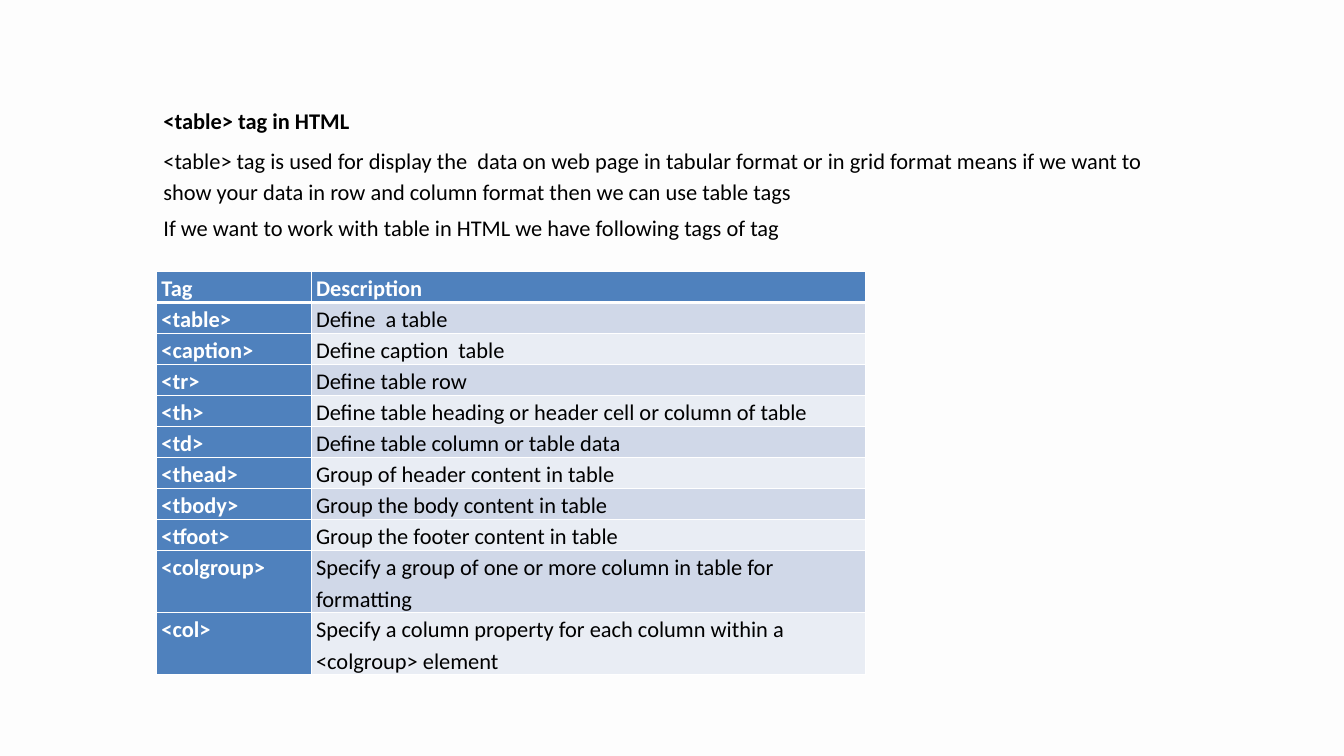
from dataclasses import dataclass

from lxml.etree import SubElement
from pptx import Presentation
from pptx.dml.color import RGBColor
from pptx.enum.text import MSO_AUTO_SIZE
from pptx.oxml.ns import qn
from pptx.util import Pt


@dataclass(frozen=True)
class Theme:
    font: str = "Calibri"
    size: float = 24
    leading: float = 1.15
    after: float = 10
    page: str = "FDFDFD"
    ink: str = "000000"
    light: str = "FFFFFF"
    head: str = "4F81BD"
    bands: tuple = ("D0D8E8", "E9EDF4")


THEME = Theme()

TITLE = "<table> tag in HTML"
ABOUT = (
    "<table> tag is used for display the  data on web page in tabular format "
    "or in grid format means if we want to show your data in row and column "
    "format then we can use table tags"
)
LEAD = "If we want to work with table in HTML we have following tags of tag"

TAGS = [
    ("Tag", "Description"),
    ("<table>", "Define  a table"),
    ("<caption>", "Define caption  table"),
    ("<tr>", "Define table row"),
    ("<th>", "Define table heading or header cell or column of table"),
    ("<td>", "Define table column or table data"),
    ("<thead>", "Group of header content in table"),
    ("<tbody>", "Group the body content in table"),
    ("<tfoot>", "Group the footer content in table"),
    ("<colgroup>", "Specify a group of one or more column in table for formatting"),
    ("<col>", "Specify a column property for each column within a <colgroup> element"),
]


def write(para, text, color, bold=False, spaced=True):
    if spaced:
        para.line_spacing = THEME.leading
        para.space_after = Pt(THEME.after)
    run = para.add_run()
    run.text = text
    font = run.font
    font.name = THEME.font
    font.size = Pt(THEME.size)
    font.bold = bold
    font.color.rgb = RGBColor.from_string(color)


def edge(cell, side, width):
    """Draw one border; side is L, R, T or B."""
    props = cell._tc.get_or_add_tcPr()
    line = SubElement(props, qn(f"a:ln{side}"), w=str(Pt(width)))
    fill = SubElement(line, qn("a:solidFill"))
    SubElement(fill, qn("a:srgbClr"), val=THEME.light)


def add_intro(slide, left, top, width, height):
    box = slide.shapes.add_textbox(Pt(left), Pt(top), Pt(width), Pt(height))
    frame = box.text_frame
    frame.word_wrap = True
    frame.auto_size = MSO_AUTO_SIZE.SHAPE_TO_FIT_TEXT
    write(frame.paragraphs[0], TITLE, THEME.ink, bold=True)
    write(frame.add_paragraph(), ABOUT, THEME.ink)
    write(frame.add_paragraph(), LEAD, THEME.ink, spaced=False)


def fill_cell(cell, text, row, col):
    """Style a cell: the first row and first column are headers."""
    header = row == 0 or col == 0
    cell.margin_left = cell.margin_right = Pt(5)
    cell.margin_top = cell.margin_bottom = 0
    for side in "LRTB":
        thick = (row == 0 and side == "B") or (row == 1 and side == "T")
        edge(cell, side, 3 if thick else 1)
    cell.fill.solid()
    shade = THEME.head if header else THEME.bands[(row - 1) % 2]
    cell.fill.fore_color.rgb = RGBColor.from_string(shade)
    color = THEME.light if header else THEME.ink
    write(cell.text_frame.paragraphs[0], text, color, bold=header)


def add_tags(slide, left, top, width, first=165.6, height=33.2):
    """Place the tag table; first is the tag column's width, height a row's."""
    count = len(TAGS)
    table = slide.shapes.add_table(
        count, 2, Pt(left), Pt(top), Pt(width), Pt(count * height)
    ).table
    for column, size in zip(table.columns, (first, width - first)):
        column.width = Pt(size)
    for r, texts in enumerate(TAGS):
        table.rows[r].height = Pt(height)
        for c, text in enumerate(texts):
            fill_cell(table.cell(r, c), text, r, c)


def main():
    deck = Presentation()
    deck.slide_width, deck.slide_height = Pt(1440), Pt(810)
    slide = deck.slides.add_slide(deck.slide_layouts[6])
    page = slide.background.fill
    page.solid()
    page.fore_color.rgb = RGBColor.from_string(THEME.page)
    left = 168
    add_intro(slide, left, 106.5, 1093.5, 157)
    add_tags(slide, left, 291, 759)
    deck.save("out.pptx")


if __name__ == "__main__":
    main()
